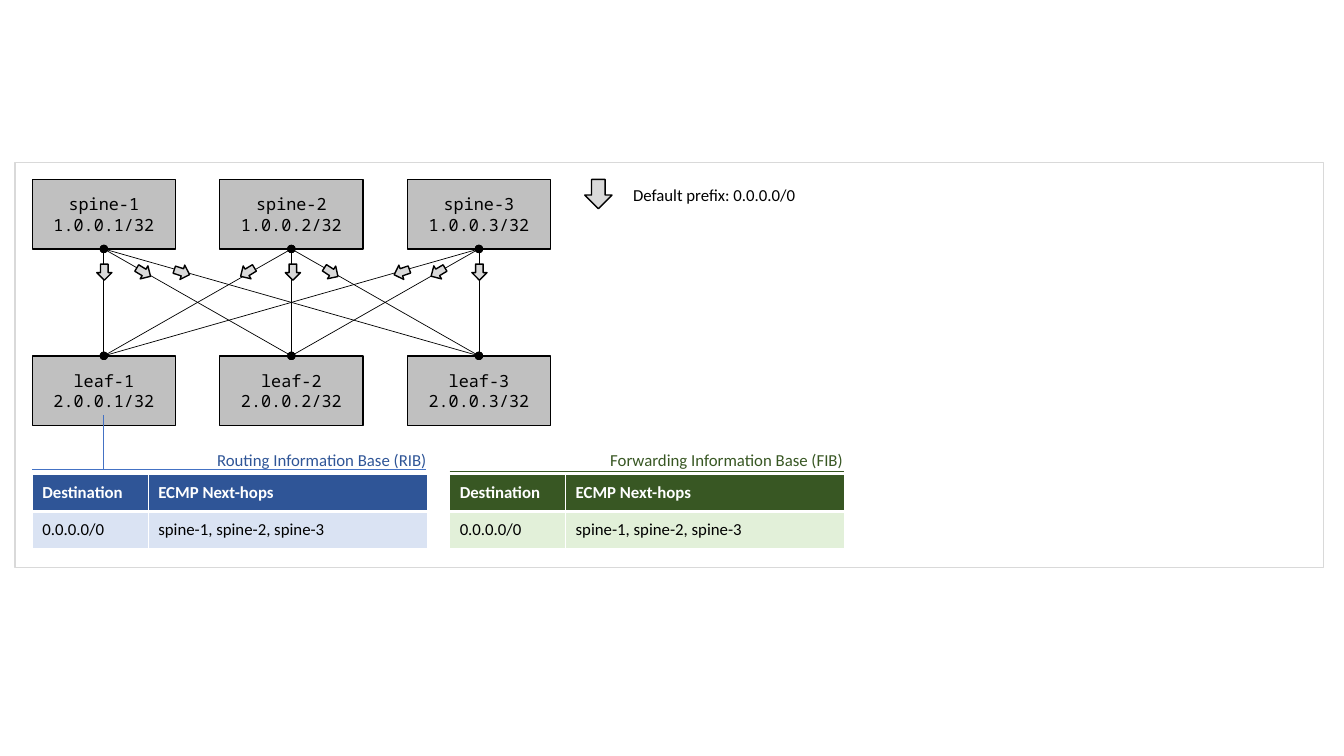
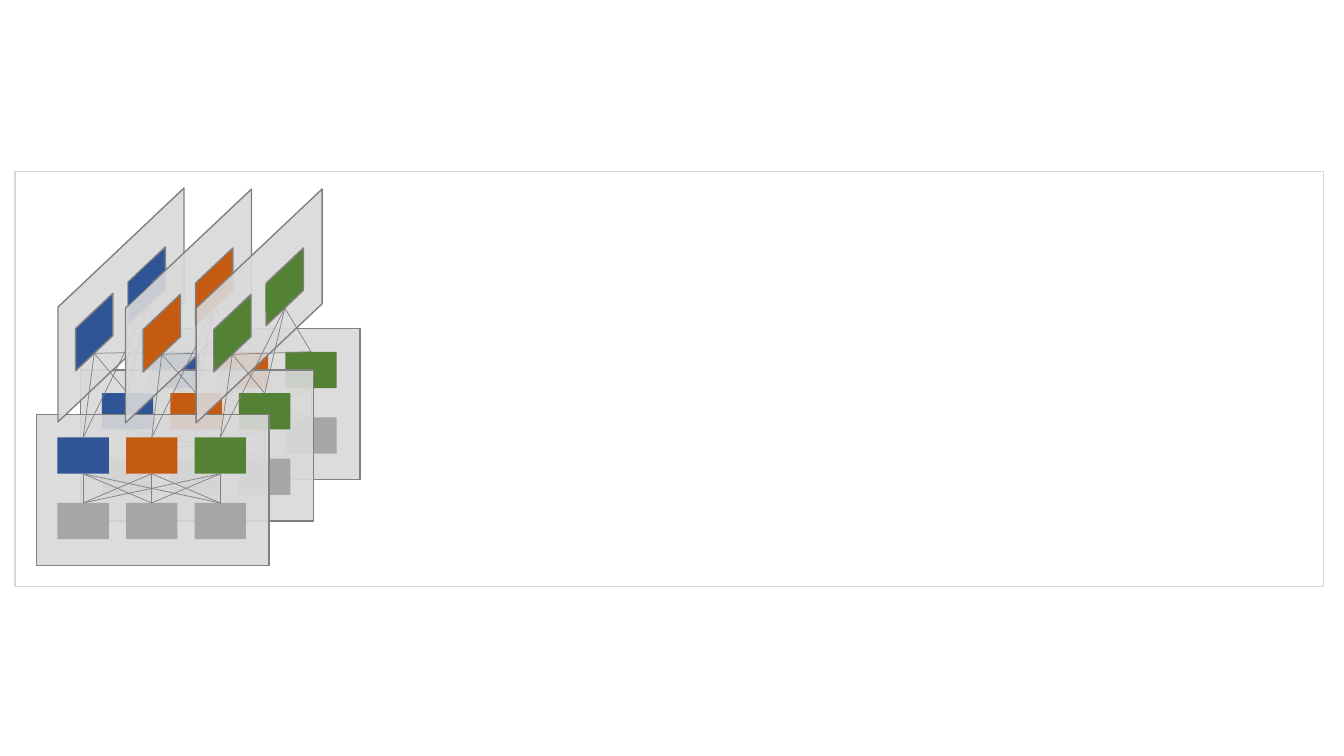
from dataclasses import dataclass
from itertools import product
from typing import Optional

from lxml.etree import SubElement
from pptx import Presentation
from pptx.dml.color import RGBColor
from pptx.enum.shapes import MSO_CONNECTOR, MSO_SHAPE
from pptx.enum.text import MSO_ANCHOR, PP_ALIGN
from pptx.oxml.ns import qn
from pptx.util import Pt

EMU_PER_PX = 9144
TOP, BOTTOM = 0, 2


@dataclass(frozen=True)
class Theme:
    black: str = "000000"
    white: str = "FFFFFF"
    pale: str = "D9D9D9"
    router: str = "C0C0C0"
    leaf: str = "A6A6A6"
    outline: str = "808080"
    rib_rule: str = "4472C4"
    rib: str = "2F5597"
    rib_tint: str = "DAE3F3"
    fib: str = "385723"
    fib_tint: str = "E2F0D9"
    spines: tuple = ("2F5597", "C55A11", "548235")
    sans: str = "Calibri"
    mono: str = "Noto Sans Mono"
    text_size: int = 12
    thin: float = 0.5
    medium: float = 1
    thick: float = 3
    plane_alpha: int = 90
    slant: float = 0.945


THEME = Theme()


@dataclass(frozen=True)
class Box:
    left: int
    top: int
    width: int
    height: int

    def shifted(self, dx: int, dy: int) -> "Box":
        return Box(self.left + dx, self.top + dy, self.width, self.height)

    def emu(self) -> tuple:
        return tuple(px(v) for v in (self.left, self.top, self.width, self.height))


@dataclass(frozen=True)
class RoutingTable:
    caption: str
    caption_box: Box
    rule_y: int
    rule_color: str
    box: Box
    dark: str
    tint: str


@dataclass(frozen=True)
class Advert:
    left: int
    rotation: float


@dataclass(frozen=True)
class Panel:
    left: int
    top: int
    color: str
    shades: tuple


ROUTER = Box(32, 178, 142, 69)
ROUTER_STEP, ROUTER_DROP = 186, 175
ADVERTS = (Advert(96, 0), Advert(135, 300.9), Advert(173, 288.1),
           Advert(238, 58.7), Advert(283, 0), Advert(321, 302.9),
           Advert(391, 70.8), Advert(427, 59.4), Advert(468, 0))
TABLES = (
    RoutingTable("Routing Information Base (RIB)", Box(121, 441, 312, 30), 466,
                 THEME.rib_rule, Box(32, 471, 392, 73), THEME.rib, THEME.rib_tint),
    RoutingTable("Forwarding Information Base (FIB)", Box(518, 441, 328, 30), 468,
                 THEME.fib, Box(446, 471, 392, 73), THEME.fib, THEME.fib_tint),
)
TABLE_ROWS = (("Destination", "ECMP Next-hops"),
              ("0.0.0.0/0", "spine-1, spine-2, spine-3"))
COLUMN_WIDTHS = (115, 277)

PLANES = (Box(126, 326, 231, 150), Box(80, 367, 231, 150), Box(36, 411, 231, 150))
PLANE_STEP, PLANE_DROP = 68, 65
PANELS = (
    Panel(4, 240, THEME.spines[0], (Box(117, 269, 44, 23), Box(64, 317, 48, 23))),
    Panel(71, 241, THEME.spines[1], (Box(185, 270, 43, 23), Box(132, 319, 48, 23))),
    Panel(141, 241, THEME.spines[2], (Box(251, 274, 48, 23), Box(200, 320, 48, 23))),
)
PANEL_NODE_OFFSETS = ((51, 71), (103, 25))


def px(value: float) -> int:
    return round(value * EMU_PER_PX)


def rgb(color: str) -> RGBColor:
    return RGBColor.from_string(color)


def style_paragraph(paragraph, color: str, font: str = THEME.sans,
                    align: PP_ALIGN = PP_ALIGN.LEFT, bold: bool = False) -> None:
    paragraph.alignment = align
    paragraph.font.name = font
    paragraph.font.size = Pt(THEME.text_size)
    paragraph.font.bold = bold
    paragraph.font.color.rgb = rgb(color)


def add_form(shapes, kind: MSO_SHAPE, box: Box, fill: Optional[str] = None,
             line: Optional[str] = None, alpha: Optional[int] = None,
             rotation: float = 0):
    form = shapes.add_shape(kind, *box.emu())
    form.shadow.inherit = False
    form.rotation = rotation
    if fill:
        form.fill.solid()
        form.fill.fore_color.rgb = rgb(fill)
    else:
        form.fill.background()
    if alpha:
        tint = form._element.spPr.find(qn("a:solidFill"))[0]
        SubElement(tint, qn("a:alpha"), val=str(alpha * 1000))
    if line:
        form.line.color.rgb = rgb(line)
        form.line.width = Pt(THEME.medium)
    else:
        form.line.fill.background()
    return form


def add_slanted(shapes, box: Box, fill: str, line: Optional[str] = None,
                alpha: Optional[int] = None) -> None:
    form = add_form(shapes, MSO_SHAPE.PARALLELOGRAM, box, fill, line, alpha, 90)
    form.adjustments[0] = THEME.slant
    form._element.spPr.find(qn("a:xfrm")).set("flipV", "1")


def add_line(shapes, start: tuple, end: tuple, color: str, dotted_ends: bool = False):
    link = shapes.add_connector(MSO_CONNECTOR.STRAIGHT, *(px(v) for v in start + end))
    link.line.color.rgb = rgb(color)
    link.line.width = Pt(THEME.thin)
    SubElement(link._element.spPr, qn("a:effectLst"))
    if dotted_ends:
        for tag in ("a:headEnd", "a:tailEnd"):
            SubElement(link.line._get_or_add_ln(), qn(tag), type="oval")
    return link


def link_rows(shapes, uppers: list, lowers: list, color: str,
              dotted_ends: bool = False) -> None:
    for upper, lower in product(uppers, lowers):
        link = add_line(shapes, (0, 0), (0, 0), color, dotted_ends)
        link.begin_connect(upper, BOTTOM)
        link.end_connect(lower, TOP)


def add_label(shapes, text: str, box: Box, color: str,
              align: PP_ALIGN = PP_ALIGN.LEFT) -> None:
    frame = shapes.add_textbox(*box.emu()).text_frame
    frame.word_wrap = True
    frame.text = text
    style_paragraph(frame.paragraphs[0], color, align=align)


def add_frame(shapes, top: int, height: int) -> None:
    add_form(shapes, MSO_SHAPE.RECTANGLE, Box(15, top, 1298, height), line=THEME.pale)


def add_router(shapes, box: Box, name: str, prefix: str):
    router = add_form(shapes, MSO_SHAPE.RECTANGLE, box, THEME.router, THEME.black)
    frame = router.text_frame
    frame.vertical_anchor = MSO_ANCHOR.MIDDLE
    frame.text = f"{name}\n{prefix}"
    for paragraph in frame.paragraphs:
        style_paragraph(paragraph, THEME.black, THEME.mono, PP_ALIGN.CENTER)
    return router


def border_cell(cell, bottom: float) -> None:
    properties = cell._tc.get_or_add_tcPr()
    widths = {"L": THEME.medium, "R": THEME.medium, "T": THEME.medium, "B": bottom}
    for side, width in widths.items():
        edge = SubElement(properties, qn(f"a:ln{side}"), w=str(Pt(width)))
        paint = SubElement(edge, qn("a:solidFill"))
        SubElement(paint, qn("a:srgbClr"), val=THEME.white)


def add_routing_table(shapes, routing: RoutingTable) -> None:
    box = routing.box
    add_line(shapes, (box.left, routing.rule_y),
             (box.left + box.width - 1, routing.rule_y), routing.rule_color)
    add_label(shapes, routing.caption, routing.caption_box, routing.dark, PP_ALIGN.RIGHT)
    table = shapes.add_table(len(TABLE_ROWS), len(COLUMN_WIDTHS), *box.emu()).table
    for column, width in zip(table.columns, COLUMN_WIDTHS):
        column.width = px(width)
    for row, texts in enumerate(TABLE_ROWS):
        header = row == 0
        for col, text in enumerate(texts):
            cell = table.cell(row, col)
            border_cell(cell, THEME.thick if header else THEME.medium)
            cell.fill.solid()
            cell.fill.fore_color.rgb = rgb(routing.dark if header else routing.tint)
            cell.vertical_anchor = MSO_ANCHOR.MIDDLE
            cell.text = text
            style_paragraph(cell.text_frame.paragraphs[0],
                            THEME.white if header else THEME.black, bold=header)


def build_routing_slide(slide) -> None:
    shapes = slide.shapes
    spines, leaves = (
        [add_router(shapes, ROUTER.shifted(i * ROUTER_STEP, tier * ROUTER_DROP),
                    f"{role}-{i + 1}", f"{tier + 1}.0.0.{i + 1}/32")
         for i in range(3)]
        for tier, role in enumerate(("spine", "leaf")))
    link_rows(shapes, spines, leaves, THEME.black, dotted_ends=True)
    for advert in ADVERTS:
        add_form(shapes, MSO_SHAPE.DOWN_ARROW, Box(advert.left, 262, 15, 16),
                 THEME.pale, THEME.black, rotation=advert.rotation)
    add_form(shapes, MSO_SHAPE.DOWN_ARROW, Box(580, 178, 27, 29), THEME.pale, THEME.black)
    add_label(shapes, "Default prefix: 0.0.0.0/0", Box(618, 178, 212, 30), THEME.black)
    add_line(shapes, (103, 412), (103, 466), THEME.rib_rule)
    for routing in TABLES:
        add_routing_table(shapes, routing)
    add_frame(shapes, 161, 402)


def add_plane(slide, plane: Box) -> list:
    shapes = slide.shapes.add_group_shape().shapes
    add_form(shapes, MSO_SHAPE.RECTANGLE, plane, THEME.pale, THEME.outline,
             THEME.plane_alpha)
    first = Box(plane.left + 21, plane.top + 23, 51, 36)
    spines, leaves = (
        [add_form(shapes, MSO_SHAPE.RECTANGLE,
                  first.shifted(i * PLANE_STEP, tier * PLANE_DROP), color)
         for i, color in enumerate(colors)]
        for tier, colors in enumerate((THEME.spines, (THEME.leaf,) * 3)))
    link_rows(shapes, spines, leaves, THEME.outline)
    return spines


def add_panel(slide, panel: Panel, plane_spines: list) -> None:
    shapes = slide.shapes.add_group_shape().shapes
    add_slanted(shapes, Box(panel.left, panel.top, 232, 125), THEME.pale,
                THEME.outline, THEME.plane_alpha)
    nodes = [Box(panel.left + dx, panel.top + dy, 77, 37)
             for dx, dy in PANEL_NODE_OFFSETS]
    for node in nodes:
        add_slanted(shapes, node, panel.color, THEME.outline)
    for node, spine in product(nodes, plane_spines):
        drop = (node.width - THEME.slant * node.height) / 2
        foot = (node.left + node.width / 2, node.top + node.height / 2 + drop)
        link = add_line(slide.shapes, foot, foot, THEME.outline)
        link.end_connect(spine, TOP)


def build_fabric_slide(slide) -> None:
    spines_by_plane = [add_plane(slide, plane) for plane in PLANES]
    for panel, plane_spines in zip(PANELS, zip(*spines_by_plane)):
        add_panel(slide, panel, plane_spines)
    for panel in PANELS:
        for shade in panel.shades:
            add_slanted(slide.shapes, shade, panel.color)
    add_frame(slide.shapes, 170, 412)


def main() -> None:
    deck = Presentation()
    deck.slide_width, deck.slide_height = px(1333), px(750)
    blank = deck.slide_layouts[6]
    for build in (build_routing_slide, build_fabric_slide):
        build(deck.slides.add_slide(blank))
    deck.save("out.pptx")


if __name__ == "__main__":
    main()
